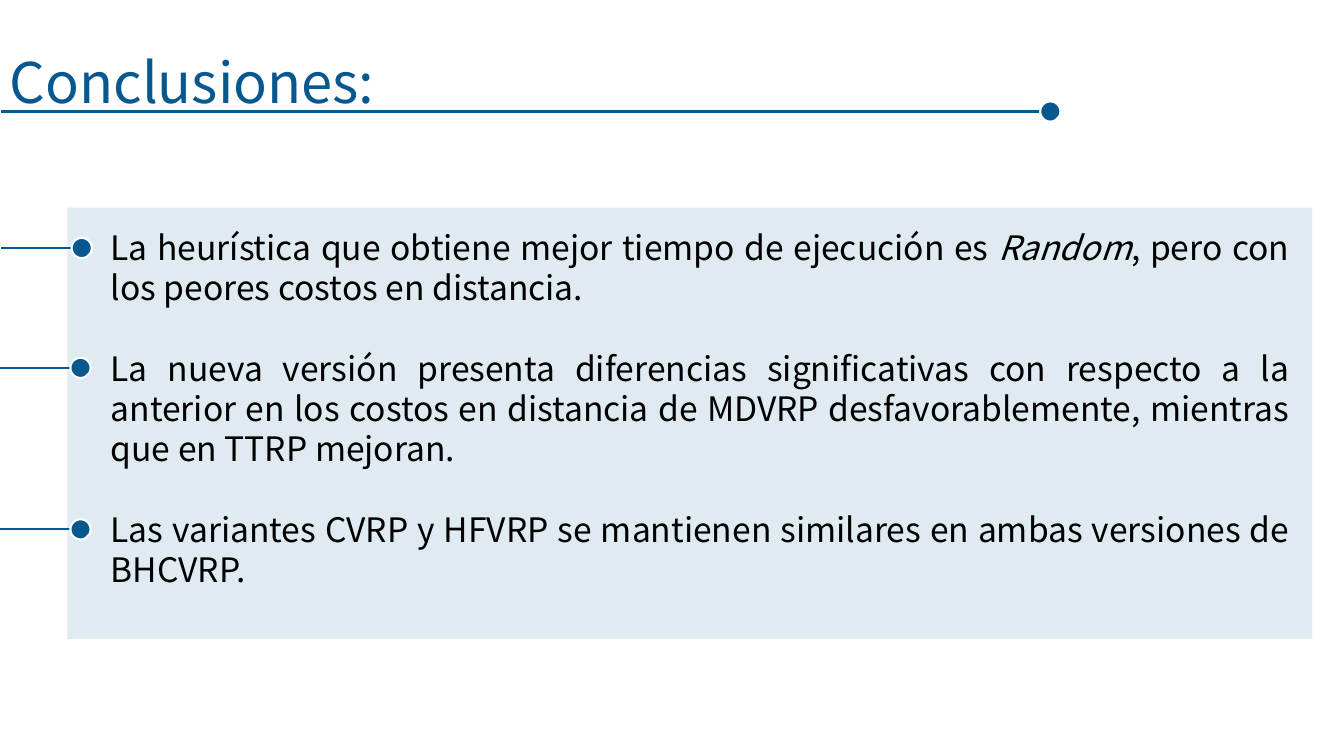
import pptx
import pptx.util
import pptx.dml.color
import pptx.enum.shapes
import pptx.enum.text
import pptx.oxml
import pptx.oxml.ns
import lxml.etree

Cm = pptx.util.Cm
Pt = pptx.util.Pt

COLORS = {"blue": "07588F", "white": "FFFFFF", "black": "000000"}
FONT = "Noto Sans CJK JP"
DOT_SIZE = 0.51
BODY_SIZE = 24

CONCLUSIONS = [
    [
        ("La heurística que obtiene mejor tiempo de ejecución es ", False),
        ("Random", True),
        (", pero con los peores costos en distancia.", False),
    ],
    [
        ("La nueva versión presenta diferencias significativas con respecto a la "
         "anterior en los costos en distancia de MDVRP desfavorablemente, "
         "mientras que en TTRP mejoran.", False),
    ],
    [
        ("Las variantes CVRP y HFVRP se mantienen similares en ambas versiones "
         "de BHCVRP.", False),
    ],
]
MARKERS = [(0.02, 2.06, 6.25), (0, 2.03, 9.27), (0, 2.03, 13.34)]


def rgb(color):
    return pptx.dml.color.RGBColor.from_string(COLORS[color])


def add_panel(slide, left, top, width, height, color, opacity):
    panel = slide.shapes.add_shape(
        pptx.enum.shapes.MSO_SHAPE.RECTANGLE,
        Cm(left), Cm(top), Cm(width), Cm(height))
    panel.shadow.inherit = False
    panel.fill.solid()
    panel.fill.fore_color.rgb = rgb(color)
    panel.line.fill.background()
    tint = panel.fill._xPr.find(".//" + pptx.oxml.ns.qn("a:srgbClr"))
    alpha = lxml.etree.SubElement(tint, pptx.oxml.ns.qn("a:alpha"))
    alpha.set("val", str(opacity * 1000))


def add_rule(slide, start, end, y):
    rule = slide.shapes.add_connector(
        pptx.enum.shapes.MSO_CONNECTOR.STRAIGHT,
        Cm(start), Cm(y), Cm(end), Cm(y))
    rule.line.color.rgb = rgb("blue")
    rule.line.width = Pt(1.5)
    lxml.etree.SubElement(rule._element.spPr, pptx.oxml.ns.qn("a:effectLst"))


def add_dot(slide, x, y):
    dot = slide.shapes.add_shape(
        pptx.enum.shapes.MSO_SHAPE.OVAL,
        Cm(x - DOT_SIZE / 2), Cm(y - DOT_SIZE / 2), Cm(DOT_SIZE), Cm(DOT_SIZE))
    dot.shadow.inherit = False
    dot.fill.solid()
    dot.fill.fore_color.rgb = rgb("blue")
    dot.line.color.rgb = rgb("white")
    dot.line.width = Pt(1.5)


def add_pin(slide, start, x, y):
    add_rule(slide, start, x - 0.05, y)
    add_dot(slide, x, y)


def add_run(paragraph, wording, size, color, italic=False):
    run = paragraph.add_run()
    run.text = wording
    run.font.name = FONT
    run.font.size = Pt(size)
    run.font.italic = italic
    run.font.color.rgb = rgb(color)


def add_text_frame(slide, left, top, width, height, wrap):
    frame = slide.shapes.add_textbox(
        Cm(left), Cm(top), Cm(width), Cm(height)).text_frame
    frame.word_wrap = wrap
    return frame


def add_title(slide, wording):
    frame = add_text_frame(slide, 0, 1.07, 9.7, 1.96, False)
    add_run(frame.paragraphs[0], wording, 40, "blue")


def add_conclusions(slide):
    frame = add_text_frame(slide, 2.54, 5.59, 30.2, 10.52, True)
    for index, conclusion in enumerate(CONCLUSIONS):
        paragraph = frame.add_paragraph() if index else frame.paragraphs[0]
        paragraph.alignment = pptx.enum.text.PP_ALIGN.JUSTIFY
        if index:
            paragraph.space_before = Pt(BODY_SIZE * 1.2)
        for wording, italic in conclusion:
            add_run(paragraph, wording, BODY_SIZE, "black", italic)


def main():
    deck = pptx.Presentation()
    deck.slide_width = Cm(33.87)
    deck.slide_height = Cm(19.05)
    slide = deck.slides.add_slide(deck.slide_layouts[6])

    add_panel(slide, 1.7, 5.23, 31.37, 10.87, "blue", 12)
    add_title(slide, "Conclusiones:")
    add_pin(slide, 0.02, 26.47, 2.81)
    add_conclusions(slide)
    for start, x, y in MARKERS:
        add_pin(slide, start, x, y)

    deck.save("out.pptx")


if __name__ == "__main__":
    main()
